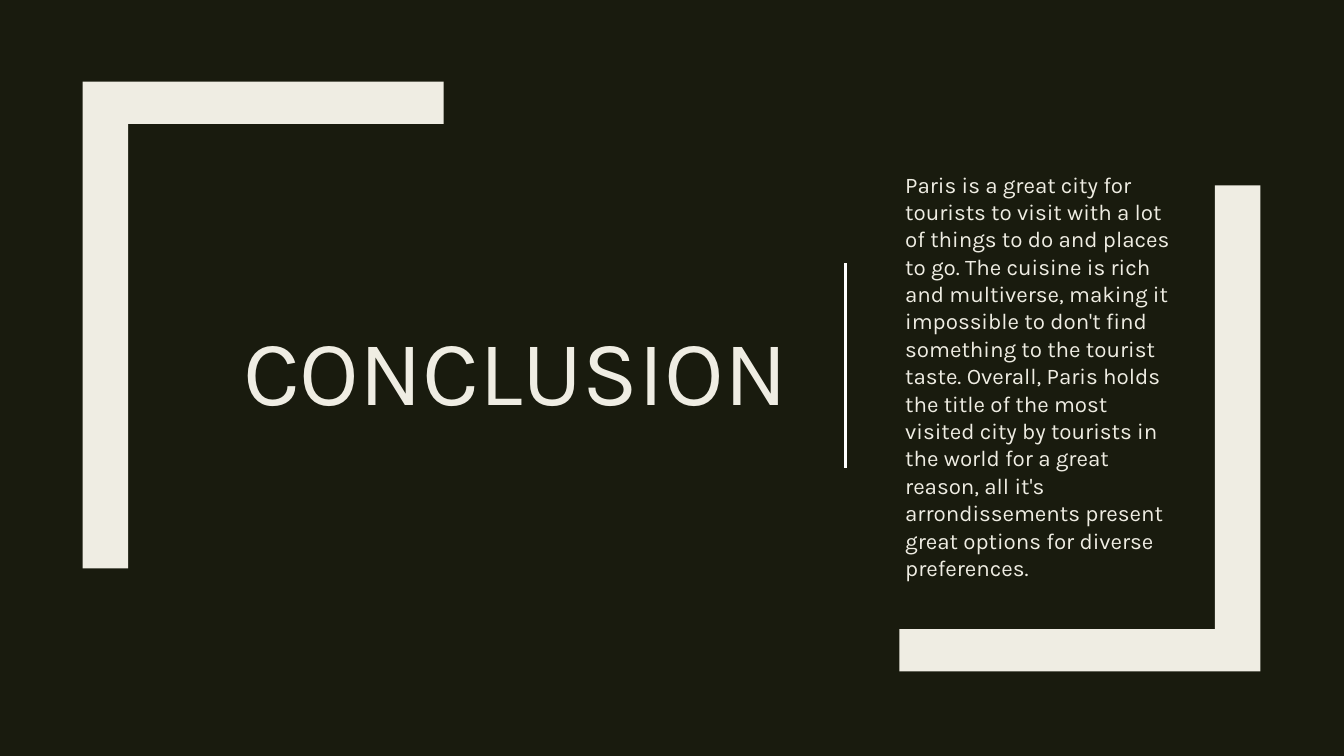
from lxml import etree
from pptx import Presentation
from pptx.dml.color import RGBColor
from pptx.enum.shapes import MSO_CONNECTOR
from pptx.enum.text import MSO_ANCHOR, PP_ALIGN
from pptx.oxml.ns import qn
from pptx.util import Inches, Pt

COLORS = {"background": "191B0E", "cream": "EFEDE3", "divider": "FFFFFF"}
FONT = "Karla"

CONCLUSION = (
    "Paris is a great city for tourists to visit with a lot of things to do "
    "and places to go. The cuisine is rich and multiverse, making it "
    "impossible to don't find something to the tourist taste. Overall, Paris "
    "holds the title of the most visited city by tourists in the world for a "
    "great reason, all it's arrondissements present great options for "
    "diverse preferences."
)


def rgb(name):
    return RGBColor.from_string(COLORS[name])


def add_bracket(slide, points):
    """Draw a closed corner bracket through points given in inches."""
    corners = [(Inches(x), Inches(y)) for x, y in points]
    builder = slide.shapes.build_freeform(*corners[0])
    builder.add_line_segments(corners[1:], close=True)
    sp = builder.convert_to_shape()
    sp.shadow.inherit = False
    sp.fill.solid()
    sp.fill.fore_color.rgb = rgb("cream")
    sp.line.fill.background()


def add_text(slide, text, left, width, size, align, spacing):
    """Add a vertically centred text box in the band shared by both texts."""
    box = slide.shapes.add_textbox(
        Inches(left), Inches(1.62), Inches(width), Inches(4.21))
    tf = box.text_frame
    tf.word_wrap = True
    tf.vertical_anchor = MSO_ANCHOR.MIDDLE
    p = tf.paragraphs[0]
    p.text = text
    p.alignment = align
    p.line_spacing = spacing
    r = p.runs[0]
    r.font.name = FONT
    r.font.size = Pt(size)
    r.font.color.rgb = rgb("cream")


def add_divider(slide, x, top, bottom):
    line = slide.shapes.add_connector(
        MSO_CONNECTOR.STRAIGHT,
        Inches(x), Inches(top), Inches(x), Inches(bottom))
    line.line.color.rgb = rgb("divider")
    line.line.width = Pt(2)
    etree.SubElement(line._element.spPr, qn("a:effectLst"))


def main():
    prs = Presentation()
    prs.slide_width, prs.slide_height = Inches(13.33), Inches(7.5)
    slide = prs.slides.add_slide(prs.slide_layouts[6])

    # Background
    fill = slide.background.fill
    fill.solid()
    fill.fore_color.rgb = rgb("background")

    # Corner brackets
    add_bracket(slide, [(12.05, 1.84), (12.5, 1.84), (12.5, 6.66),
                        (8.92, 6.66), (8.92, 6.24), (12.05, 6.24)])
    add_bracket(slide, [(1.27, 5.64), (0.82, 5.64), (0.82, 0.81),
                        (4.4, 0.81), (4.4, 1.23), (1.27, 1.23)])

    # Title, divider and closing text
    add_text(slide, "CONCLUSION", 1.62, 6.29, 66, PP_ALIGN.RIGHT, 0.89)
    add_text(slide, CONCLUSION, 8.88, 2.84, 16, PP_ALIGN.LEFT, 1.02)
    add_divider(slide, 8.39, 2.61, 4.64)

    prs.save("out.pptx")


if __name__ == "__main__":
    main()
